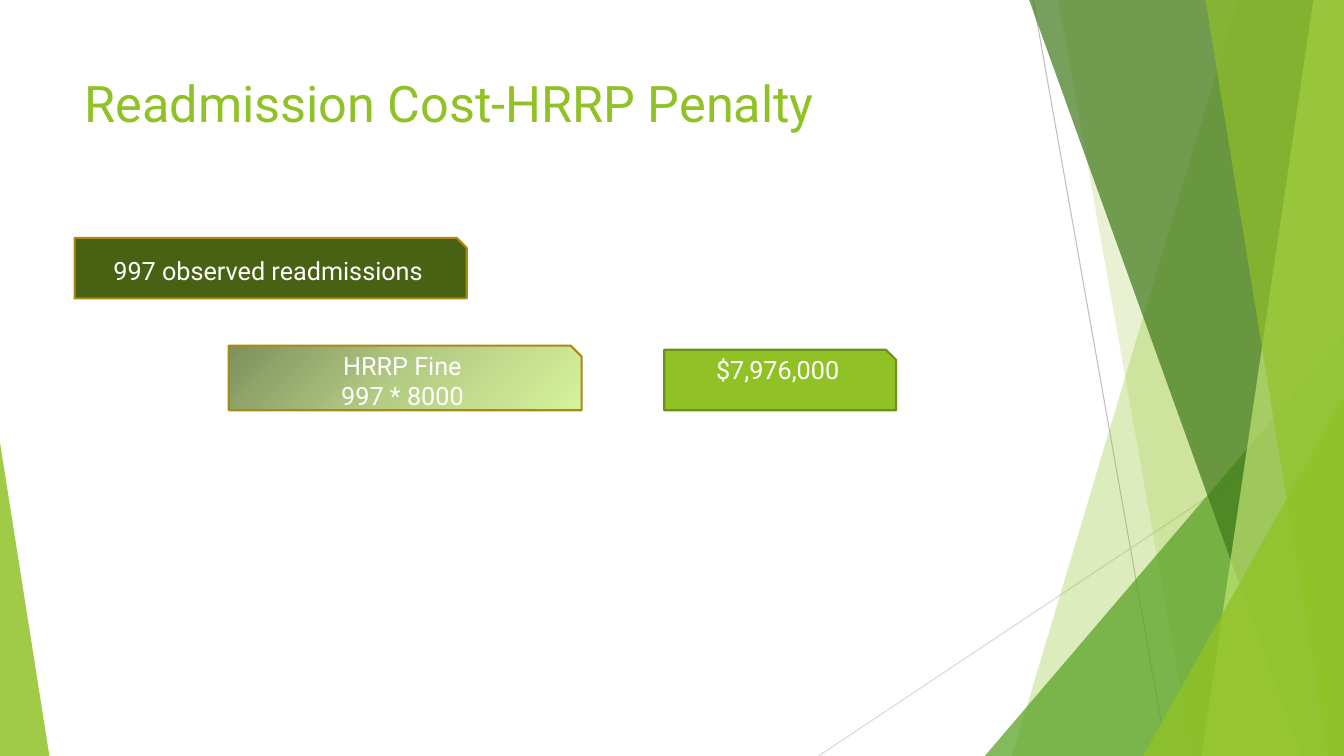
from copy import deepcopy

from lxml import etree
from pptx import Presentation
from pptx.dml.color import RGBColor
from pptx.enum.shapes import MSO_CONNECTOR, MSO_SHAPE
from pptx.enum.text import MSO_ANCHOR, PP_ALIGN
from pptx.oxml.ns import qn
from pptx.util import Pt

STRAIGHT = MSO_CONNECTOR.STRAIGHT
TRIANGLE = MSO_SHAPE.ISOSCELES_TRIANGLE
SNIPPED = MSO_SHAPE.SNIP_1_RECTANGLE
TOP, MIDDLE = MSO_ANCHOR.TOP, MSO_ANCHOR.MIDDLE
LEFT, CENTER = PP_ALIGN.LEFT, PP_ALIGN.CENTER

WIDTH, HEIGHT = 960, 540
FONT = "Roboto"
GREEN = "90C226"
WHITE = "FFFFFF"
GOLD = "AA8916"


def rgb(value):
    return RGBColor.from_string(value)


def tint(facet, color, opacity):
    facet.shadow.inherit = False
    facet.fill.solid()
    facet.fill.fore_color.rgb = rgb(color)
    facet.line.fill.background()
    color_node = facet.fill._xPr.find(qn("a:solidFill"))[0]
    etree.SubElement(color_node, qn("a:alpha"), val=str(opacity * 1000))


def add_ray(slide, start, end, color):
    ray = slide.shapes.add_connector(STRAIGHT, *map(Pt, start + end))
    ray.line.color.rgb = rgb(color)
    ray.line.width = Pt(0.75)
    etree.SubElement(ray._element.spPr, qn("a:effectLst"))


def add_band(slide, top_x, bottom_x, color, opacity):
    outline = slide.shapes.build_freeform(Pt(top_x), 0, scale=1.0)
    corners = [(WIDTH, 0), (WIDTH, HEIGHT), (bottom_x, HEIGHT)]
    outline.add_line_segments([(Pt(x), Pt(y)) for x, y in corners])
    tint(outline.convert_to_shape(), color, opacity)


def add_triangle(slide, left, top, width, apex, color, opacity):
    triangle = slide.shapes.add_shape(
        TRIANGLE, Pt(left), Pt(top), Pt(width), Pt(HEIGHT - top))
    triangle.adjustments[0] = apex
    tint(triangle, color, opacity)


def write(frame, text, size=18, color=WHITE, align=CENTER, anchor=MIDDLE):
    frame.word_wrap = True
    frame.vertical_anchor = anchor
    frame.text = text
    for paragraph in frame.paragraphs:
        paragraph.alignment = align
        paragraph.font.name = FONT
        paragraph.font.size = Pt(size)
        paragraph.font.color.rgb = rgb(color)


def shade(fill, colors):
    start, middle, end = colors
    fill.gradient()
    fill.gradient_angle = 315
    stops = fill.gradient_stops
    for stop, color, position in zip(stops, (start, end), (0, 1)):
        stop.color.rgb = rgb(color)
        stop.position = position
    first = fill._xPr.find(".//" + qn("a:gs"))
    center = deepcopy(first)
    center.set("pos", "50000")
    center[0].set("val", middle)
    first.addnext(center)


def add_card(slide, box, text, colors, border, **text_format):
    card = slide.shapes.add_shape(SNIPPED, *map(Pt, box))
    card.shadow.inherit = False
    if len(colors) > 1:
        shade(card.fill, colors)
    else:
        card.fill.solid()
        card.fill.fore_color.rgb = rgb(colors[0])
    card.line.color.rgb = rgb(border)
    card.line.width = Pt(1.5)
    write(card.text_frame, text, **text_format)
    return card


def add_backdrop(slide):
    add_ray(slide, (738, 0), (833.76, HEIGHT), "BFBFBF")
    add_ray(slide, (WIDTH, 290.16), (584.64, HEIGHT), "D9D9D9")
    add_band(slide, 884.16, 722.88, GREEN, 30)
    add_band(slide, 756, 851.76, GREEN, 20)
    add_triangle(slide, 703.44, 239.76, 256.56, 1, "54A021", 72)
    add_band(slide, 735.12, 929.52, "3F7819", 70)
    add_band(slide, 938.16, 858.24, "C0E474", 70)
    add_band(slide, 861.12, 948.96, GREEN, 65)
    add_triangle(slide, 816.48, 282.96, 143.52, 1, GREEN, 80)
    add_triangle(slide, 0, 316.08, 35.28, 0, GREEN, 85)


def main():
    deck = Presentation()
    deck.slide_width, deck.slide_height = Pt(WIDTH), Pt(HEIGHT)
    slide = deck.slides.add_slide(deck.slide_layouts[6])
    add_backdrop(slide)

    title = slide.shapes.add_textbox(Pt(53.28), Pt(48.24), Pt(676.8), Pt(103.68))
    write(title.text_frame, "Readmission Cost-HRRP Penalty",
          size=36, color=GREEN, align=LEFT, anchor=TOP)

    penalty = add_card(slide, (474.48, 249.84, 165.6, 43.2), "$7,976,000",
                       [GREEN], "6B901C", anchor=TOP)
    penalty.text_frame.margin_top = 0
    add_card(slide, (53.28, 169.92, 280.08, 43.2), "997 observed readmissions",
             ["486113"], GOLD)
    add_card(slide, (163.44, 246.96, 252, 46.08), "HRRP Fine\n997 * 8000",
             ["7F905D", "B5CC84", "D7F29C"], GOLD)

    deck.save("out.pptx")


if __name__ == "__main__":
    main()
